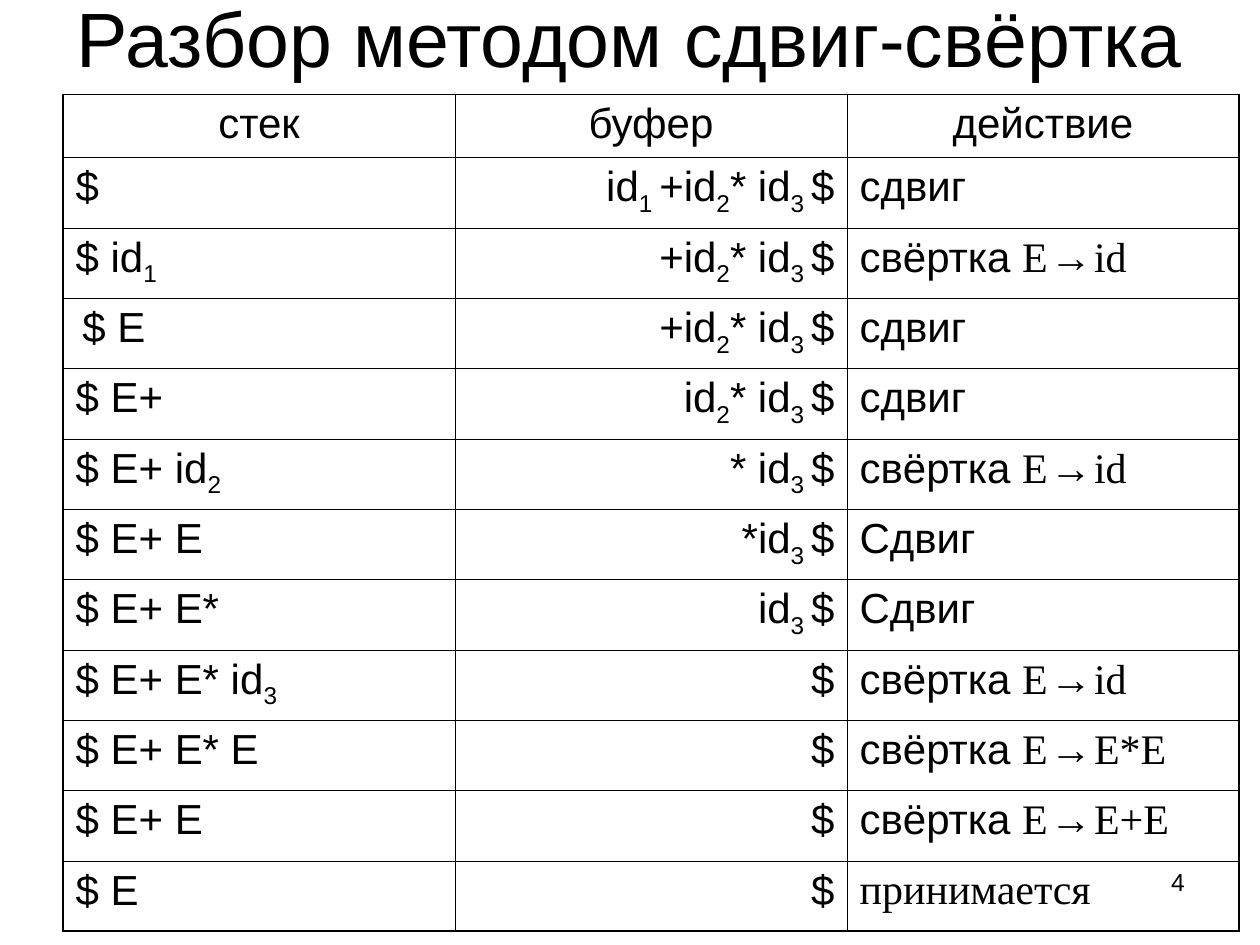
import pptx
import pptx.util
import pptx.dml.color
import pptx.enum.text
import pptx.oxml
from lxml import etree

Pt = pptx.util.Pt
ALIGN = pptx.enum.text.PP_ALIGN
ANCHOR = pptx.enum.text.MSO_ANCHOR
COLORS = {"text": "000000", "border": "000000"}
SANS, SERIF, MONO = "Arial", "Times New Roman", "Courier New"
THIN, THICK = 0.45, 1.08


def add_run(paragraph, text, size, font=SANS, subscript=False):
    run = paragraph.add_run()
    run.text = text
    run.font.size = Pt(size)
    run.font.name = font
    run.font.color.rgb = pptx.dml.color.RGBColor.from_string(COLORS["text"])
    if subscript:
        run.font._element.set("baseline", "-25000")


def set_borders(cell, widths):
    properties = cell._tc.get_or_add_tcPr()
    for index, (side, width) in enumerate(widths.items()):
        line = pptx.oxml.parse_xml(
            f'<a:{side} xmlns:a="http://schemas.openxmlformats.org/drawingml/2006/main" '
            f'w="{Pt(width)}"><a:solidFill><a:srgbClr val="{COLORS["border"]}"/>'
            f'</a:solidFill></a:{side}>')
        properties.insert(index, line)


presentation = pptx.Presentation()
presentation.slide_width, presentation.slide_height = Pt(720), Pt(540)
slide = presentation.slides.add_slide(presentation.slide_layouts[5])

# Title
title = slide.shapes.title
title.left, title.top, title.width, title.height = Pt(18), Pt(0), Pt(684), Pt(42)
frame = title.text_frame
frame.margin_left = frame.margin_right = frame.margin_top = frame.margin_bottom = 0
frame.auto_size = pptx.enum.text.MSO_AUTO_SIZE.NONE
frame.vertical_anchor = ANCHOR.MIDDLE
frame.paragraphs[0].alignment = ALIGN.CENTER
add_run(frame.paragraphs[0], "Разбор методом сдвиг-свёртка", 44)

# Slide number
number = slide.shapes.add_textbox(Pt(516), Pt(492), Pt(168), Pt(37.5))
number.text_frame.word_wrap = True
number.text_frame.paragraphs[0].alignment = ALIGN.RIGHT
add_run(number.text_frame.paragraphs[0], "4", 14)

# Parsing steps: stack, buffer, action; every second piece between bars is a subscript.
# An action is a list of (text, font) runs.
def_shift, late_shift = [("сдвиг", SANS)], [("Сдвиг", SANS)]
reduce_id, reduce_product, reduce_sum = [
    [("свёртка ", SANS), ("E ", SERIF), ("→", MONO), (f" {body}", SERIF)]
    for body in ("id", "E*E", "E+E")]
steps = [
    ("стек", "буфер", [("действие", SANS)]),
    ("$", "id|1 |+id|2|* id|3 |$", def_shift),
    ("$ id|1", "+id|2|* id|3 |$", reduce_id),
    ("| |$ E", "+id|2|* id|3 |$", def_shift),
    ("$ E+", "id|2|* id|3 |$", def_shift),
    ("$ E+ id|2", "* id|3 |$", reduce_id),
    ("$ E+ E", "*id|3 |$", late_shift),
    ("$ E+ E*", "id|3 |$", late_shift),
    ("$ E+ E* id|3", "$", reduce_id),
    ("$ E+ E* E", "$", reduce_product),
    ("$ E+ E", "$", reduce_sum),
    ("$ E", "$", [("принимается", SERIF)]),
]

# Table
last_row, last_column = len(steps) - 1, 2
graphic = slide.shapes.add_table(len(steps), 3, Pt(36), Pt(54), Pt(672), Pt(478.2))
table = graphic.table
table.first_row = table.horz_banding = False
for column in table.columns:
    column.width = Pt(224)
for row_index, step in enumerate(steps):
    table.rows[row_index].height = Pt(40.2 if row_index else 36)
    for column_index, content in enumerate(step):
        cell = table.cell(row_index, column_index)
        cell.fill.background()
        cell.margin_left = cell.margin_right = Pt(7.2)
        cell.margin_top = cell.margin_bottom = Pt(3.6)
        set_borders(cell, {
            "lnL": THICK if column_index == 0 else THIN,
            "lnR": THICK if column_index == last_column else THIN,
            "lnT": THICK if row_index == 0 else THIN,
            "lnB": THICK if row_index == last_row else THIN,
        })
        paragraph = cell.text_frame.paragraphs[0]
        if row_index == 0:
            paragraph.alignment = ALIGN.CENTER
        else:
            paragraph.alignment = ALIGN.RIGHT if column_index == 1 else ALIGN.LEFT
        if column_index == last_column:
            for text, font in content:
                add_run(paragraph, text, 24, font)
        else:
            for piece_index, text in enumerate(content.split("|")):
                if text:
                    add_run(paragraph, text, 24, subscript=piece_index % 2 == 1)

presentation.save("out.pptx")
